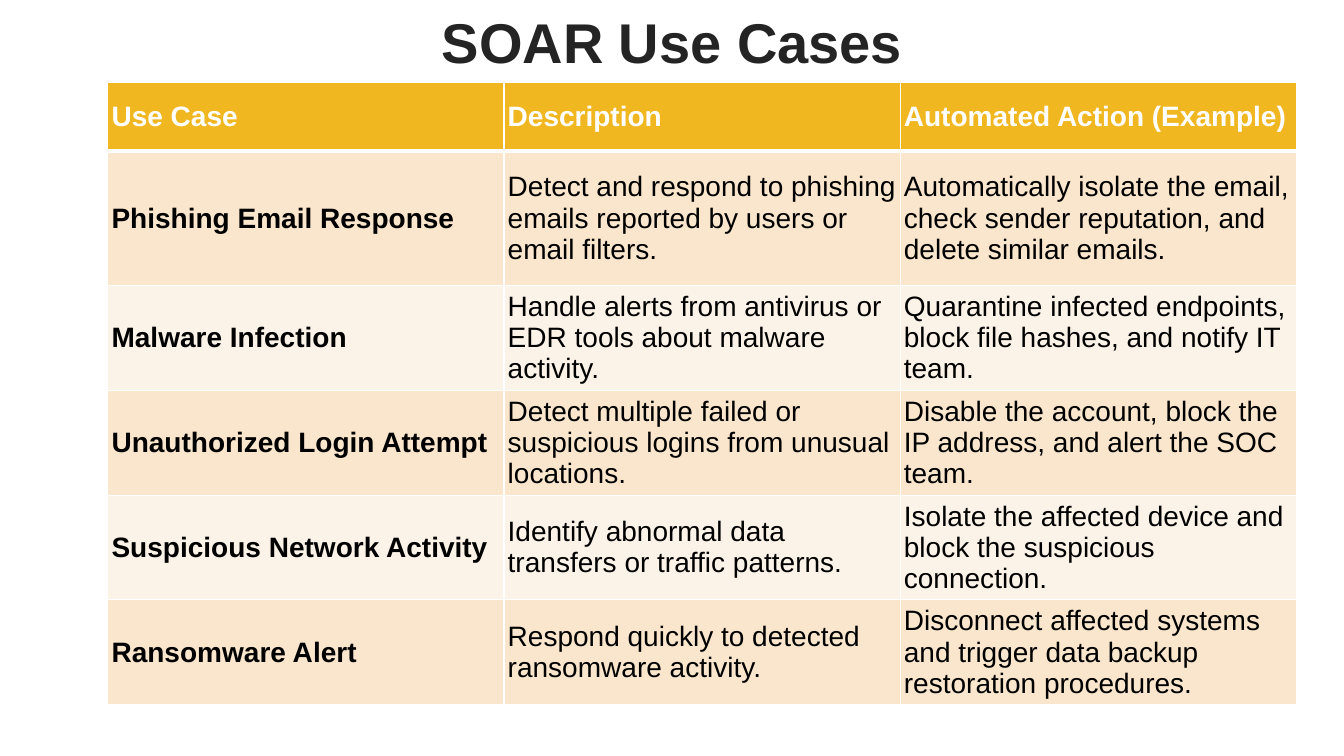
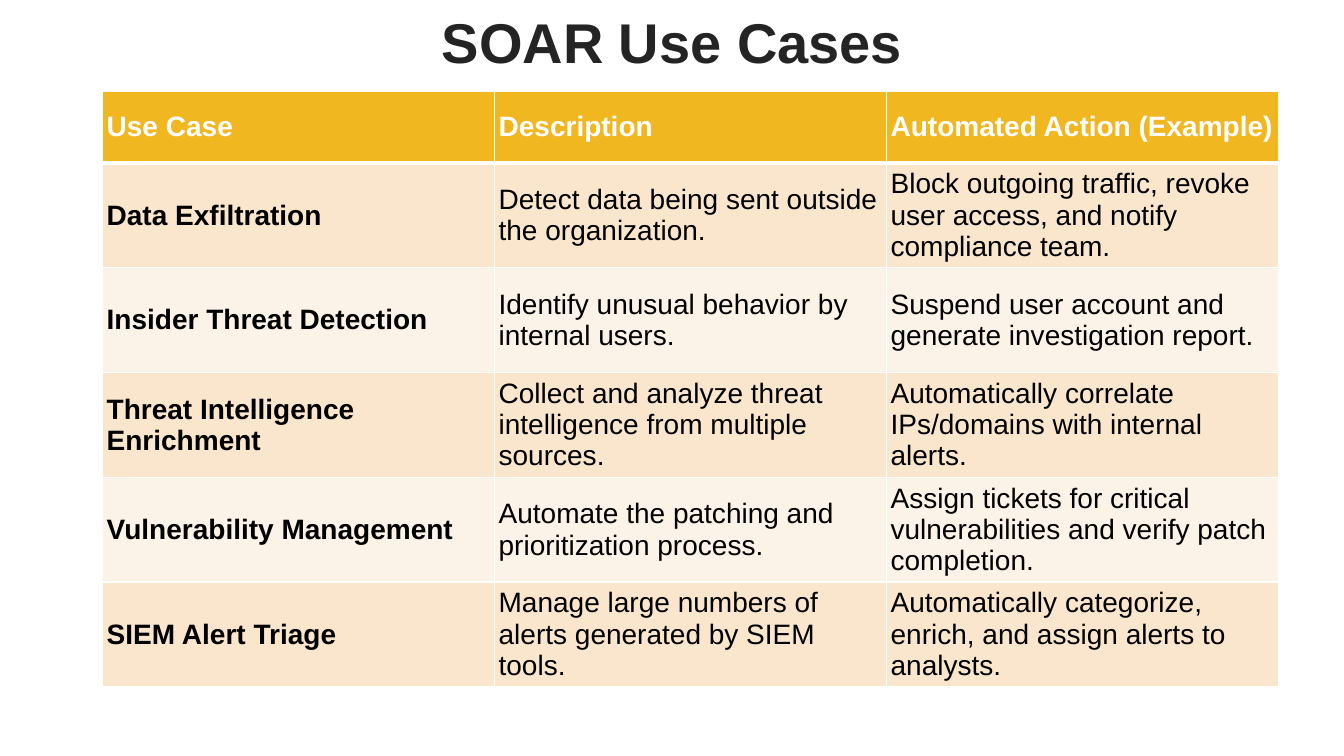
from lxml.etree import SubElement
from pptx import Presentation
from pptx.dml.color import RGBColor
from pptx.enum.text import MSO_ANCHOR as Anchor, PP_ALIGN as Align
from pptx.oxml.ns import qn
from pptx.util import Pt

FONT = "Arial"
TITLE_INK, BODY_INK, WHITE = "242424", "000000", "FFFFFF"
HEADER_FILL, BAND_FILLS = "F1B721", ("FAE6CD", "FCF3E8")
TITLE = "SOAR Use Cases"
HEADINGS = ("Use Case", "Description", "Automated Action (Example)")

SLIDES = [
    {
        "left": 77, "top": 58.5, "column": 283,
        "heights": [49.5, 96] + [73] * 4,
        "cases": [
            ("Phishing Email Response",
             "Detect and respond to phishing emails reported by users or email filters.",
             "Automatically isolate the email, check sender reputation, and delete similar emails."),
            ("Malware Infection",
             "Handle alerts from antivirus or EDR tools about malware activity.",
             "Quarantine infected endpoints, block file hashes, and notify IT team."),
            ("Unauthorized Login Attempt",
             "Detect multiple failed or suspicious logins from unusual locations.",
             "Disable the account, block the IP address, and alert the SOC team."),
            ("Suspicious Network Activity",
             "Identify abnormal data transfers or traffic patterns.",
             "Isolate the affected device and block the suspicious connection."),
            ("Ransomware Alert",
             "Respond quickly to detected ransomware activity.",
             "Disconnect affected systems and trigger data backup restoration procedures."),
        ],
    },
    {
        "left": 73.5, "top": 65, "column": 280,
        "heights": [51.5] + [74.8] * 5,
        "cases": [
            ("Data Exfiltration",
             "Detect data being sent outside the organization.",
             "Block outgoing traffic, revoke user access, and notify compliance team."),
            ("Insider Threat Detection",
             "Identify unusual behavior by internal users.",
             "Suspend user account and generate investigation report."),
            ("Threat Intelligence Enrichment",
             "Collect and analyze threat intelligence from multiple sources.",
             "Automatically correlate IPs/domains with internal alerts."),
            ("Vulnerability Management",
             "Automate the patching and prioritization process.",
             "Assign tickets for critical vulnerabilities and verify patch completion."),
            ("SIEM Alert Triage",
             "Manage large numbers of alerts generated by SIEM tools.",
             "Automatically categorize, enrich, and assign alerts to analysts."),
        ],
    },
]


def color(value):
    return RGBColor.from_string(value)


def style_text(paragraph, size, ink, bold):
    font = paragraph.runs[0].font
    font.name, font.size, font.bold = FONT, Pt(size), bold
    font.color.rgb = color(ink)


def add_title(slide):
    title = slide.shapes.add_textbox(Pt(287.5), Pt(0), Pt(385), Pt(65))
    frame = title.text_frame
    frame.word_wrap = True
    frame.vertical_anchor = Anchor.MIDDLE
    frame.text = TITLE
    heading = frame.paragraphs[0]
    heading.alignment = Align.CENTER
    heading.line_spacing = 0.9
    style_text(heading, 40, TITLE_INK, True)


def add_borders(cell, top, bottom):
    properties = cell._tc.get_or_add_tcPr()
    for side, width in (("L", 1), ("R", 1), ("T", top), ("B", bottom)):
        border = SubElement(properties, qn(f"a:ln{side}"), w=str(Pt(width)))
        fill = SubElement(border, qn("a:solidFill"))
        SubElement(fill, qn("a:srgbClr"), val=WHITE)


def fill_cell(cell, text, row, column):
    is_header = row == 0
    add_borders(cell, top=3 if row == 1 else 1, bottom=3 if is_header else 1)
    cell.fill.solid()
    cell.fill.fore_color.rgb = color(HEADER_FILL if is_header else BAND_FILLS[(row - 1) % 2])
    cell.margin_left = cell.margin_right = Pt(2.7)
    cell.margin_top = cell.margin_bottom = Pt(1.4)
    cell.vertical_anchor = Anchor.MIDDLE
    cell.text = text
    style_text(cell.text_frame.paragraphs[0], 20,
               WHITE if is_header else BODY_INK, is_header or column == 0)


def add_case_table(slide, content):
    rows = [HEADINGS] + content["cases"]
    heights = content["heights"]
    table = slide.shapes.add_table(
        len(rows), len(HEADINGS), Pt(content["left"]), Pt(content["top"]),
        Pt(content["column"] * len(HEADINGS)), Pt(sum(heights))).table
    for column in table.columns:
        column.width = Pt(content["column"])
    for r, (texts, height) in enumerate(zip(rows, heights)):
        table.rows[r].height = Pt(height)
        for c, text in enumerate(texts):
            fill_cell(table.cell(r, c), text, r, c)


def main():
    deck = Presentation()
    deck.slide_width, deck.slide_height = Pt(960), Pt(540)
    for content in SLIDES:
        slide = deck.slides.add_slide(deck.slide_layouts[6])
        add_title(slide)
        add_case_table(slide, content)
    deck.save("out.pptx")


if __name__ == "__main__":
    main()
